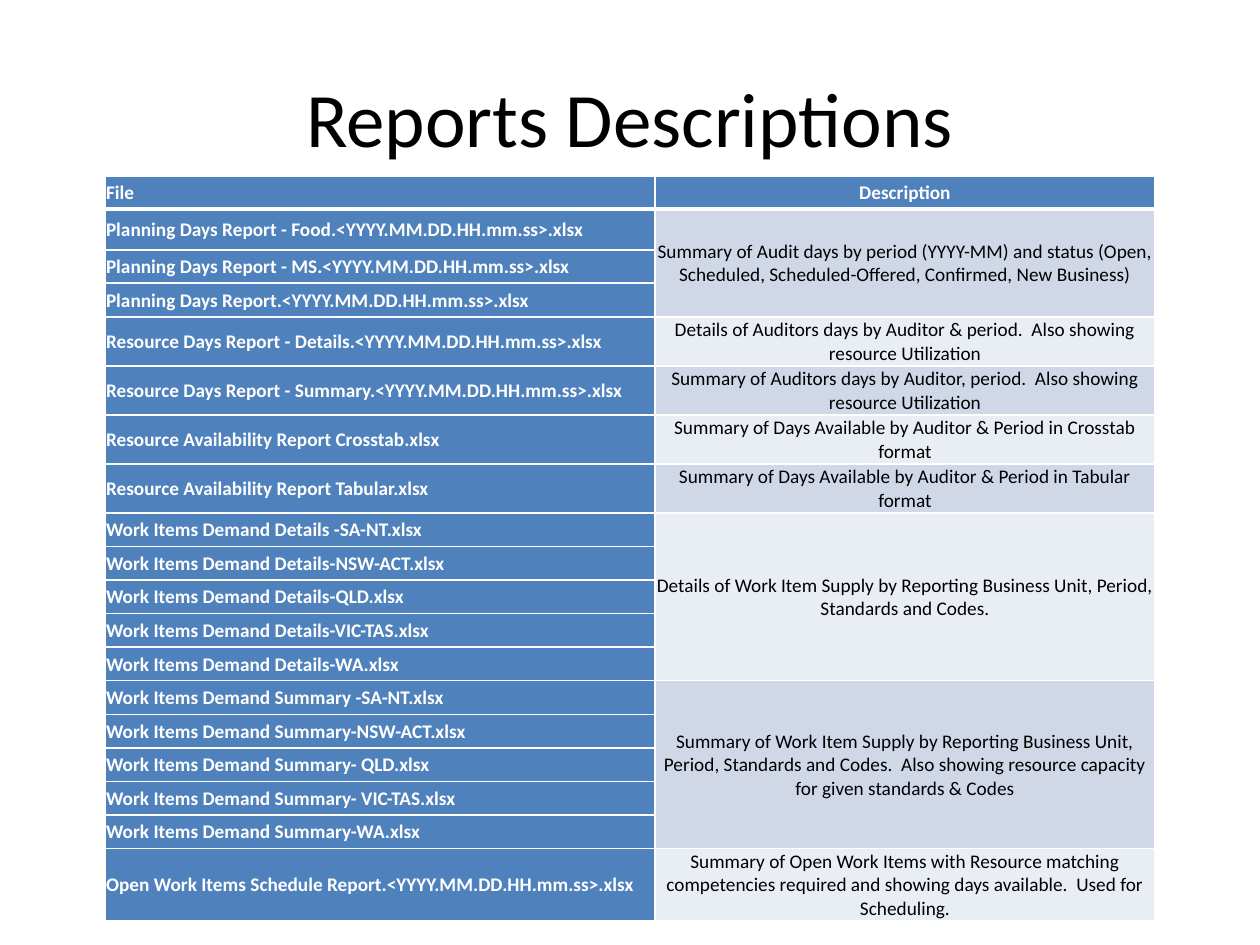
from lxml.etree import SubElement
from pptx import Presentation
from pptx.dml.color import RGBColor
from pptx.enum.text import PP_ALIGN, MSO_ANCHOR
from pptx.oxml.ns import qn
from pptx.util import Pt

PX = 914400 // 126
WHITE, BLACK, BLUE = "FFFFFF", "000000", "4F81BD"
BANDS = ["D0D8E8", "E9EDF4"]
STAMP = ".<YYYY.MM.DD.HH.mm.ss>.xlsx"


def color(text):
    return RGBColor.from_string(text)


def write(frame, text, size=11, ink=WHITE, bold=False, align=PP_ALIGN.CENTER):
    frame.word_wrap = True
    para = frame.paragraphs[0]
    para.alignment = align
    run = para.add_run()
    run.text = text
    run.font.name = "Calibri"
    run.font.size = Pt(size)
    run.font.bold = bold
    run.font.color.rgb = color(ink)


groups = [
    (108, ["Planning Days Report - Food" + STAMP,
           "Planning Days Report - MS" + STAMP,
           "Planning Days Report" + STAMP],
     "Summary of Audit days by period (YYYY-MM) and status (Open, Scheduled, "
     "Scheduled-Offered, Confirmed, New Business)"),
    (49, ["Resource Days Report - Details" + STAMP],
     "Details of Auditors days by Auditor & period.  Also showing resource Utilization"),
    (49, ["Resource Days Report - Summary" + STAMP],
     "Summary of Auditors days by Auditor, period.  Also showing resource Utilization"),
    (49, ["Resource Availability Report Crosstab.xlsx"],
     "Summary of Days Available by Auditor & Period in Crosstab format"),
    (49, ["Resource Availability Report Tabular.xlsx"],
     "Summary of Days Available by Auditor & Period in Tabular format"),
    (168, [f"Work Items Demand Details{area}.xlsx"
           for area in [" -SA-NT", "-NSW-ACT", "-QLD", "-VIC-TAS", "-WA"]],
     "Details of Work Item Supply by Reporting Business Unit, Period, Standards and Codes."),
    (168, [f"Work Items Demand Summary{area}.xlsx"
           for area in [" -SA-NT", "-NSW-ACT", "- QLD", "- VIC-TAS", "-WA"]],
     "Summary of Work Item Supply by Reporting Business Unit, Period, Standards and Codes.  "
     "Also showing resource capacity for given standards & Codes"),
    (72, ["Open Work Items Schedule Report" + STAMP],
     "Summary of Open Work Items with Resource matching competencies required "
     "and showing days available.  Used for Scheduling."),
]

deck = Presentation()
deck.slide_width, deck.slide_height = 1260 * PX, 945 * PX
slide = deck.slides.add_slide(deck.slide_layouts[5])

title = slide.shapes.title
title.left, title.top, title.width, title.height = [n * PX for n in (63, 38, 1134, 158)]
title.text_frame.vertical_anchor = MSO_ANCHOR.MIDDLE
write(title.text_frame, "Reports Descriptions", size=44, ink=BLACK)

count = 1 + sum(len(files) for _, files, _ in groups)
table = slide.shapes.add_table(count, 2, 105 * PX, 176 * PX, 1050 * PX, 745 * PX).table
table.columns[0].width, table.columns[1].width = 550 * PX, 500 * PX

for row in range(count):
    for col in range(2):
        cell = table.cell(row, col)
        cell.vertical_anchor = MSO_ANCHOR.MIDDLE
        cell.margin_left = cell.margin_right = cell.margin_top = PX
        cell.margin_bottom = 0
        props = cell._tc.get_or_add_tcPr()
        for side in "LRTB":
            thick = (row, side) in [(0, "B"), (1, "T")]
            line = SubElement(props, qn("a:ln" + side), w=str(Pt(3 if thick else 1)))
            fill = SubElement(line, qn("a:solidFill"))
            SubElement(fill, qn("a:srgbClr"), val=WHITE)
        cell.fill.solid()
        cell.fill.fore_color.rgb = color(BLUE)

table.rows[0].height = 33 * PX
write(table.cell(0, 0).text_frame, "File", bold=True, align=PP_ALIGN.LEFT)
write(table.cell(0, 1).text_frame, "Description", bold=True)

row = 1
for band, (height, files, about) in enumerate(groups):
    last = row + len(files) - 1
    for step, name in enumerate(files, row):
        table.rows[step].height = height * PX // len(files)
        write(table.cell(step, 0).text_frame, name, bold=True, align=PP_ALIGN.LEFT)
        table.cell(step, 1).fill.fore_color.rgb = color(BANDS[band % 2])
    cell = table.cell(row, 1)
    if last > row:
        cell.merge(table.cell(last, 1))
    write(cell.text_frame, about, ink=BLACK)
    row = last + 1

for step, height in enumerate([41, 33, 34], 1):
    table.rows[step].height = height * PX

deck.save("out.pptx")
